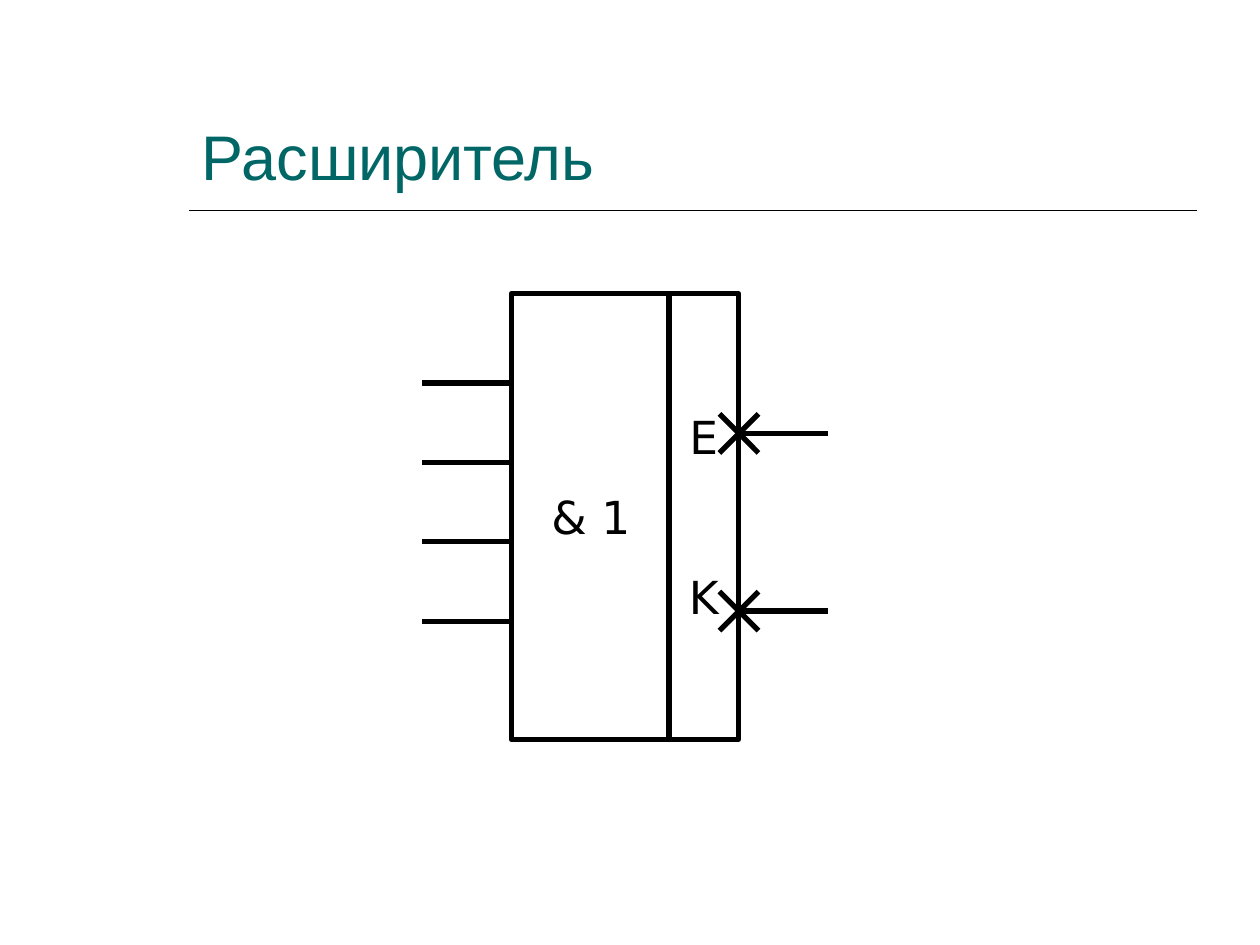
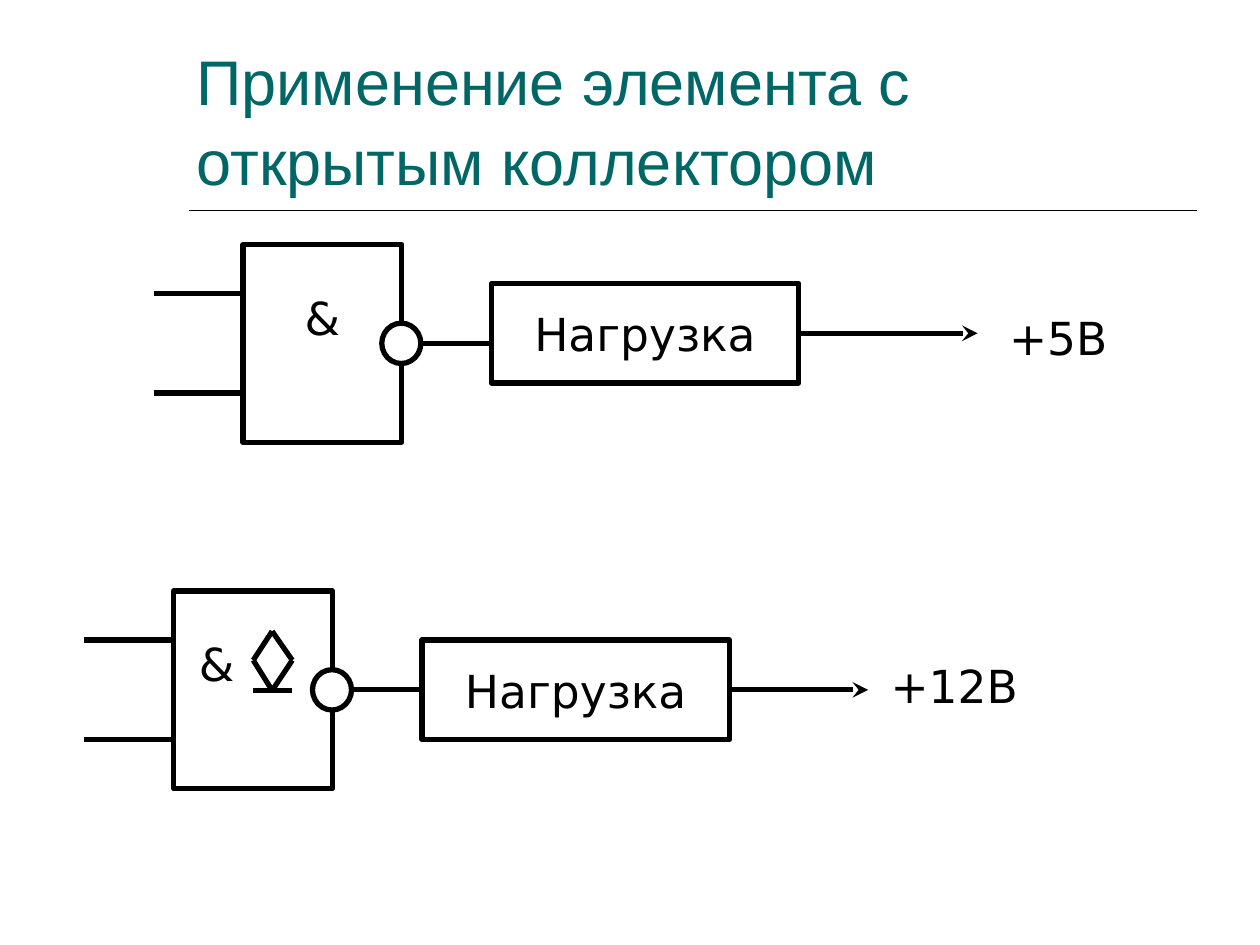
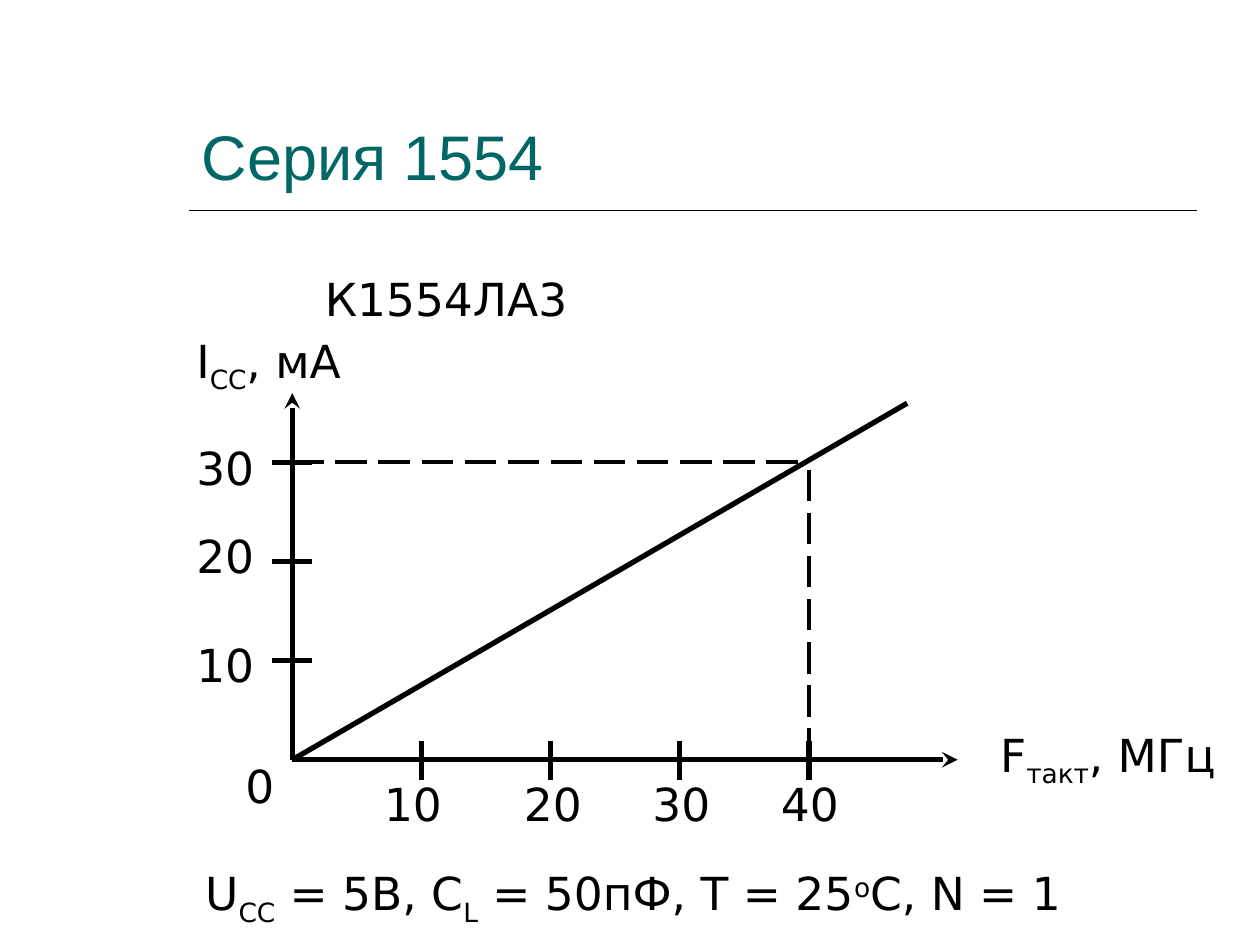
"""Build three slides on logic elements: expander, open collector, series 1554."""
from itertools import pairwise

from lxml.etree import SubElement
from pptx import Presentation
from pptx.dml.color import RGBColor
from pptx.enum.dml import MSO_LINE
from pptx.enum.shapes import MSO_CONNECTOR, MSO_SHAPE
from pptx.enum.text import MSO_ANCHOR, MSO_AUTO_SIZE, PP_ALIGN
from pptx.oxml.ns import qn
from pptx.util import Inches, Pt

COLORS = {"title": "006666", "ink": "000000", "paper": "FFFFFF"}
RGB = {name: RGBColor.from_string(value) for name, value in COLORS.items()}
TITLE_FONT, BODY_FONT = "Arial", "DejaVu Sans"
TITLES = [
    ("Расширитель", 1.5, 0.05, 1.53),
    ("Применение элемента с открытым коллектором", 1.46, 0.05, 1.57),
    ("Серия 1554", 1.5, 0.33, 1.25),
]


def add_line(s, x1, y1, x2, y2, width=3, arrow=False, dash=None):
    c = s.shapes.add_connector(MSO_CONNECTOR.STRAIGHT, Inches(x1), Inches(y1), Inches(x2), Inches(y2))
    c.line.color.rgb = RGB["ink"]
    c.line.width = Pt(width)
    if dash:
        c.line.dash_style = dash
    if arrow:
        SubElement(c.line._get_or_add_ln(), qn("a:tailEnd"), type="stealth")
    SubElement(c._element.spPr, qn("a:effectLst"))
    return c


def add_box(s, x, y, w, h, *paragraphs, shape=None):
    place = Inches(x), Inches(y), Inches(w), Inches(h)
    if shape is None:
        sp = s.shapes.add_textbox(*place)
    else:
        sp = s.shapes.add_shape(shape, *place)
        sp.shadow.inherit = False
        sp.fill.solid()
        sp.fill.fore_color.rgb = RGB["paper"]
        sp.line.color.rgb = RGB["ink"]
        sp.line.width = Pt(3)
        sp.text_frame.vertical_anchor = MSO_ANCHOR.MIDDLE
    tf = sp.text_frame
    tf.word_wrap = shape is None
    for i, runs in enumerate(paragraphs):
        p = tf.add_paragraph() if i else tf.paragraphs[0]
        p.alignment = PP_ALIGN.CENTER if shape else PP_ALIGN.LEFT
        for text, baseline in [(runs, 0)] if isinstance(runs, str) else runs:
            r = p.add_run()
            r.text = text
            r.font.name = BODY_FONT
            r.font.size = Pt(26)
            r.font.color.rgb = RGB["ink"]
            if baseline:
                r.font._element.set("baseline", str(baseline * 1000))
    return sp


prs = Presentation()
prs.slide_width, prs.slide_height = Inches(10), Inches(7.5)
slides = []
for text, x, y, h in TITLES:
    s = prs.slides.add_slide(prs.slide_layouts[5])
    title = s.shapes.title
    title.left, title.top, title.width, title.height = Inches(x), Inches(y), Inches(8), Inches(h)
    tf = title.text_frame
    tf.text = text
    tf.word_wrap = True
    tf.auto_size = MSO_AUTO_SIZE.NONE
    tf.vertical_anchor = MSO_ANCHOR.BOTTOM
    p = tf.paragraphs[0]
    p.alignment = PP_ALIGN.LEFT
    p.line_spacing = 1.06
    font = p.runs[0].font
    font.name, font.size, font.color.rgb = TITLE_FONT, Pt(36), RGB["title"]
    add_line(s, 1.5, 1.67, 9.5, 1.67, width=1)
    slides.append(s)
expander, collector, series = slides

add_box(expander, 4.06, 2.33, 1.26, 3.54, "& 1", shape=MSO_SHAPE.RECTANGLE)
outputs = add_box(expander, 5.31, 2.33, 0.55, 3.54, "E", "K", shape=MSO_SHAPE.RECTANGLE)
outputs.text_frame.paragraphs[1].space_before = Pt(60.5)
for i in range(4):
    y = 3.04 + 0.63 * i
    add_line(expander, 3.35, y, 4.06, y)
for y in (3.44, 4.85):
    add_line(expander, 5.87, y, 6.57, y)
    for dy in (0.155, -0.155):
        add_line(expander, 5.71, y + dy, 6.02, y - dy)

for x, y, load_dy, tip, label, label_x, label_y, label_w in [
    (1.93, 1.94, 0.31, 7.76, "+5В", 7.91, 2.41, 1.02),
    (1.38, 4.69, 0.39, 6.89, "+12В", 6.97, 5.17, 1.26),
]:
    gate = add_box(collector, x, y, 1.26, 1.57, "&", shape=MSO_SHAPE.RECTANGLE)
    gate.text_frame.margin_bottom = Inches(0.47)
    load_x, load_y, mid = x + 1.97, y + load_dy, y + 0.785
    load = add_box(collector, load_x, load_y, 2.44, 0.79, "Нагрузка", shape=MSO_SHAPE.RECTANGLE)
    wire = add_line(collector, x + 1.26, mid, load_x, mid)
    wire.begin_connect(gate, 3)
    add_box(collector, x + 1.1, mid - 0.16, 0.31, 0.32, shape=MSO_SHAPE.OVAL)
    for dy in (0.39, 1.18):
        add_line(collector, x - 0.71, y + dy, x, y + dy)
    load_mid = load_y + 0.395
    supply = add_line(collector, load_x + 2.44, load_mid, tip, load_mid, arrow=True)
    supply.begin_connect(load, 3)
    add_box(collector, label_x, label_y, label_w, 0.54, label)
wire.end_connect(load, 1)
gate.text_frame.margin_right = Inches(0.68)
diamond = [(2.16, 5.01), (2.32, 5.24), (2.16, 5.48), (2.01, 5.24), (2.16, 5.01)]
for start, end in pairwise(diamond):
    add_line(collector, *start, *end)
add_line(collector, 2.01, 5.48, 2.32, 5.48)

x0, y0 = 2.32, 6.03
add_line(series, x0, y0, x0, 3.12, arrow=True)
add_line(series, x0, y0, 7.6, y0, arrow=True)
add_line(series, x0, y0, 7.2, 3.2)
for i, label_y in enumerate([5.01, 4.14, 3.44], 1):
    y = y0 - 0.787 * i
    add_line(series, x0 - 0.16, y, x0 + 0.16, y)
    add_box(series, 1.46, label_y, 0.87, 0.54, str(10 * i))
for i, label_x in enumerate([2.95, 4.06, 5.08, 6.1], 1):
    x = x0 + 1.025 * i
    add_line(series, x, y0 + 0.16, x, y0 - 0.15)
    add_box(series, label_x, 6.11, 0.87, 0.54, str(10 * i))
add_line(series, x0, y, 6.34, y, width=2.25, dash=MSO_LINE.LONG_DASH)
add_line(series, x, y0, x, y, width=2.25, dash=MSO_LINE.LONG_DASH)
add_box(series, 1.85, 5.97, 0.63, 0.54, "0")
add_box(series, 2.48, 2.1, 3.86, 0.54, "К1554ЛА3")
add_box(series, 1.46, 2.59, 1.89, 0.6, [("I", 0), ("CC", -25), (", мА", 0)])
add_box(series, 7.84, 5.72, 2.13, 0.6, [("F", 0), ("такт", -25), (", МГц", 0)])
conditions = [("U", 0), ("CC", -25), (" = 5В, C", 0), ("L", -25),
              (" = 50пФ, T = 25", 0), ("о", 30), ("С, N = 1", 0)]
add_box(series, 1.53, 6.82, 8.11, 0.6, conditions)

prs.save("out.pptx")
